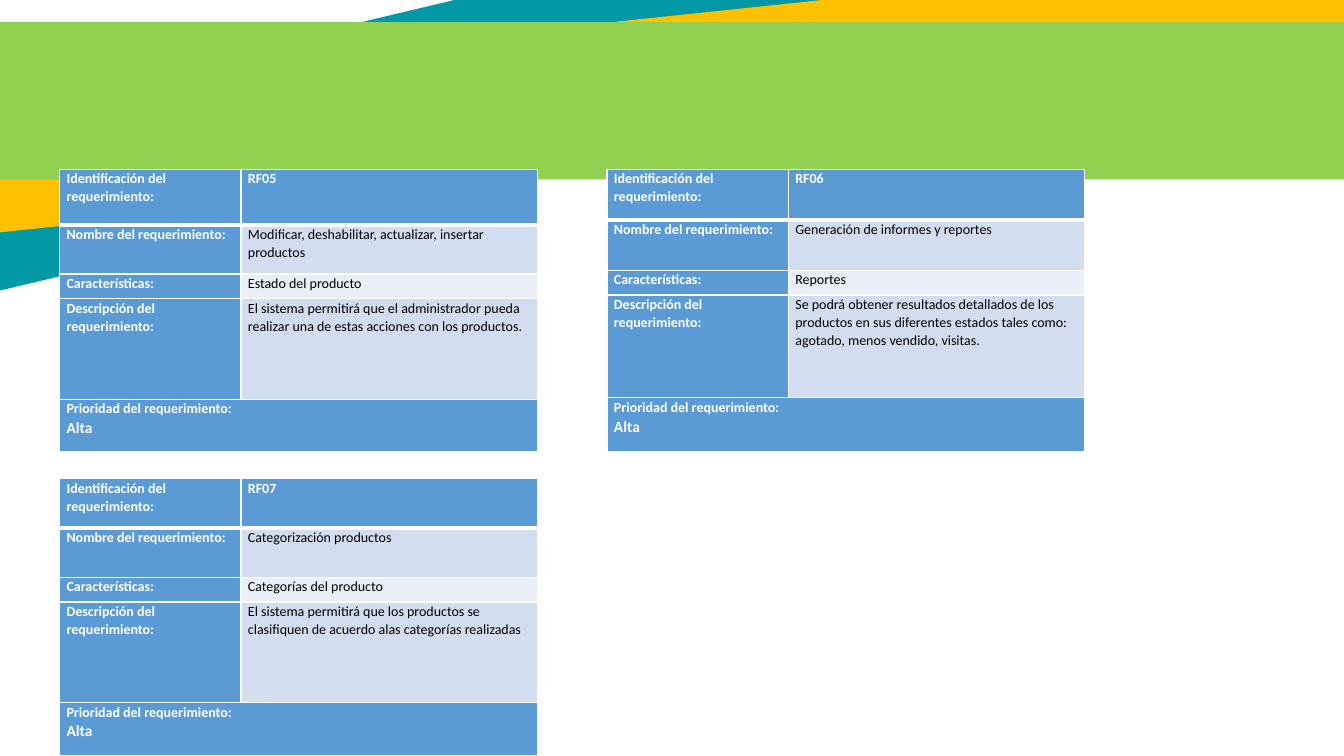
from dataclasses import dataclass

from lxml import etree
from pptx import Presentation
from pptx.dml.color import RGBColor
from pptx.enum.shapes import MSO_SHAPE
from pptx.oxml.ns import qn
from pptx.util import Inches, Pt

RECT = MSO_SHAPE.RECTANGLE
TEAL = RGBColor(0x00, 0x99, 0xA5)
AMBER = RGBColor(0xFF, 0xC0, 0x00)
GREEN = RGBColor(0x92, 0xD0, 0x50)
BLUE = RGBColor(0x5B, 0x9B, 0xD5)
PALE = RGBColor(0xD2, 0xDE, 0xEF)
PALER = RGBColor(0xEA, 0xEF, 0xF7)
WHITE = RGBColor(0xFF, 0xFF, 0xFF)
BLACK = RGBColor(0x00, 0x00, 0x00)

# Grid of 100 columns by 100 rows
WIDTH, HEIGHT = Inches(13.33), Inches(7.5)
COL, ROW = WIDTH / 100, HEIGHT / 100

LEFT, RIGHT = 4.43, 45.16
UPPER, LOWER = 22.4, 63.33
TABLE_COLS = (13.5, 22.06)
LABELS = ("Identificación del requerimiento:", "Nombre del requerimiento:",
          "Características:", "Descripción del requerimiento:",
          "Prioridad del requerimiento:")
VALUE_FILLS = (BLUE, PALE, PALER, PALE, BLUE)
MARGINS = {"margin_left": Inches(0.07), "margin_right": Inches(0.07),
           "margin_top": 0, "margin_bottom": 0}
LABEL_FONT = {"name": "Calibri", "size": Pt(10), "bold": True}
VALUE_FONT = LABEL_FONT | {"bold": False}
PRIORITY_FONT = LABEL_FONT | {"size": Pt(11)}


@dataclass
class Band:
    x: float
    y: float
    w: float
    h: float
    angle: float
    color: RGBColor


@dataclass
class Requirement:
    x: float
    y: float
    rows: tuple[float, ...]
    values: tuple[str, ...]
    priority: str = "Alta"


BANDS = (
    Band(-25.06, -2.4, 130.61, 23.47, 346.6, TEAL),
    Band(-10.95, 2.67, 116.28, 19.2, 354, AMBER),
    Band(-10.58, 2.93, 116.28, 20.8, 0, GREEN),
)
REQUIREMENTS = (
    Requirement(LEFT, UPPER, (7.33, 6.53, 3.25, 13.33, 6.93), (
        "RF05", "Modificar, deshabilitar, actualizar, insertar productos",
        "Estado del producto",
        "El sistema permitirá que el administrador pueda realizar una de "
        "estas acciones con los productos.")),
    Requirement(RIGHT, UPPER, (6.67, 6.67, 3.3, 13.6, 7.07), (
        "RF06", "Generación de informes y reportes", "Reportes",
        "Se podrá obtener resultados detallados de los productos en sus "
        "diferentes estados tales como: agotado, menos vendido, visitas.")),
    Requirement(LEFT, LOWER, (6.53, 6.53, 3.25, 13.33, 6.93), (
        "RF07", "Categorización productos", "Categorías del producto",
        "El sistema permitirá que los productos se clasifiquen de acuerdo "
        "alas categorías realizadas")),
)


def draw_band(slide, band: Band) -> None:
    sp = slide.shapes.add_shape(RECT, round(band.x * COL), round(band.y * ROW),
                                round(band.w * COL), round(band.h * ROW))
    sp.rotation = band.angle
    sp.shadow.inherit = False
    sp.fill.solid()
    sp.fill.fore_color.rgb = band.color
    sp.line.fill.background()


def set_borders(cell, row: int) -> None:
    """White rules, with a heavy one between the first two rows."""
    widths = {"L": 1, "R": 1, "T": 3 if row == 1 else 1, "B": 3 if row == 0 else 1}
    tc_pr = cell._tc.get_or_add_tcPr()
    for i, (side, width) in enumerate(widths.items()):
        ln = etree.Element(qn(f"a:ln{side}"), w=str(Pt(width)))
        fill = etree.SubElement(ln, qn("a:solidFill"))
        etree.SubElement(fill, qn("a:srgbClr"), val=str(WHITE))
        tc_pr.insert(i, ln)


def style_cell(cell, row: int, fill: RGBColor) -> None:
    for name, value in MARGINS.items():
        setattr(cell, name, value)
    cell.fill.solid()
    cell.fill.fore_color.rgb = fill
    set_borders(cell, row)


def write(p, text: str, font: dict, color: RGBColor) -> None:
    p.line_spacing = 1.07
    r = p.add_run()
    r.text = text
    for name, value in font.items():
        setattr(r.font, name, value)
    r.font.color.rgb = color


def draw_requirement(slide, req: Requirement) -> None:
    frame = slide.shapes.add_table(
        len(LABELS), len(TABLE_COLS), round(req.x * COL), round(req.y * ROW),
        round(sum(TABLE_COLS) * COL), round(sum(req.rows) * ROW))
    table = frame.table
    for column, width in zip(table.columns, TABLE_COLS):
        column.width = round(width * COL)
    for i, (label, height) in enumerate(zip(LABELS, req.rows)):
        table.rows[i].height = round(height * ROW)
        style_cell(table.cell(i, 0), i, BLUE)
        style_cell(table.cell(i, 1), i, VALUE_FILLS[i])
        write(table.cell(i, 0).text_frame.paragraphs[0], label, LABEL_FONT, WHITE)
    for i, value in enumerate(req.values):
        font, color = (VALUE_FONT, BLACK) if i else (LABEL_FONT, WHITE)
        write(table.cell(i, 1).text_frame.paragraphs[0], value, font, color)

    # Priority spans both columns
    last = len(LABELS) - 1
    cell = table.cell(last, 0)
    cell.merge(table.cell(last, 1))
    p = cell.text_frame.add_paragraph()
    p.space_after = Pt(8)
    write(p, req.priority, PRIORITY_FONT, WHITE)


def main() -> None:
    prs = Presentation()
    prs.slide_width, prs.slide_height = WIDTH, HEIGHT
    slide = prs.slides.add_slide(prs.slide_layouts[6])
    for band in BANDS:
        draw_band(slide, band)
    for req in REQUIREMENTS:
        draw_requirement(slide, req)
    prs.save("out.pptx")


if __name__ == "__main__":
    main()
